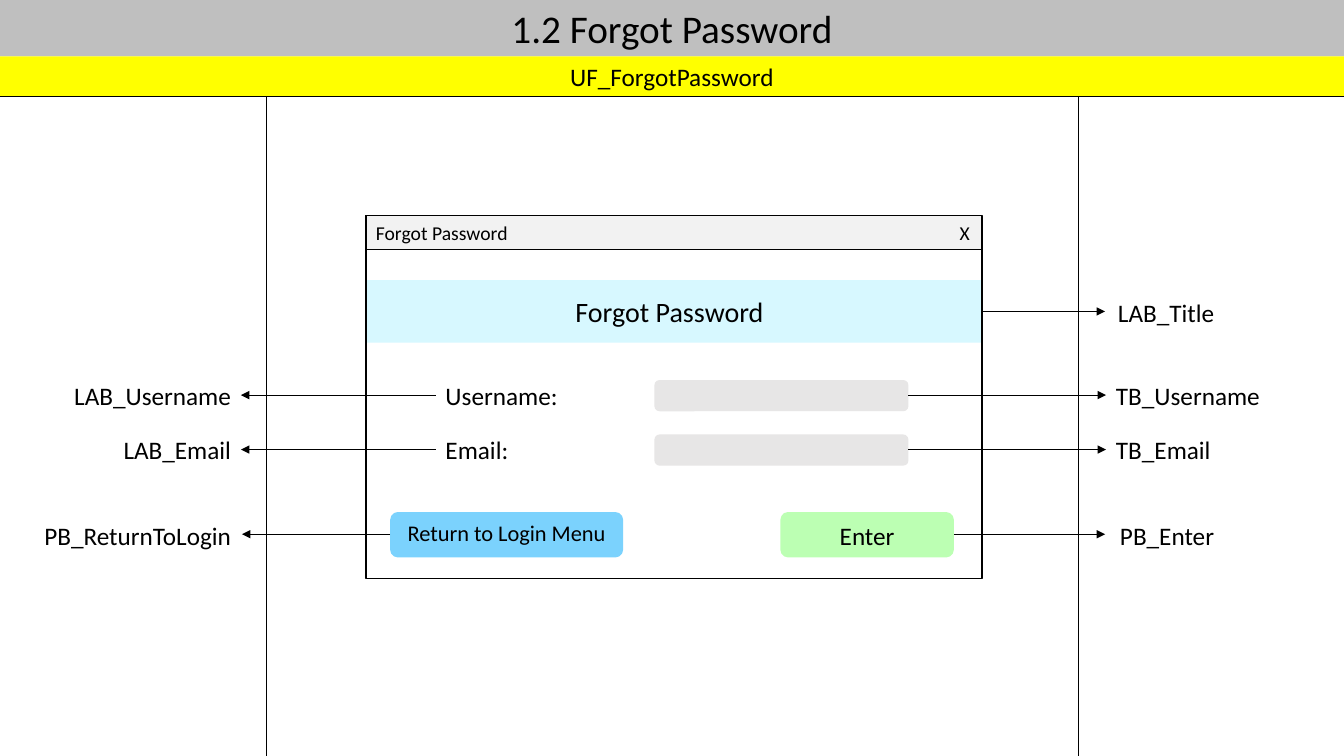
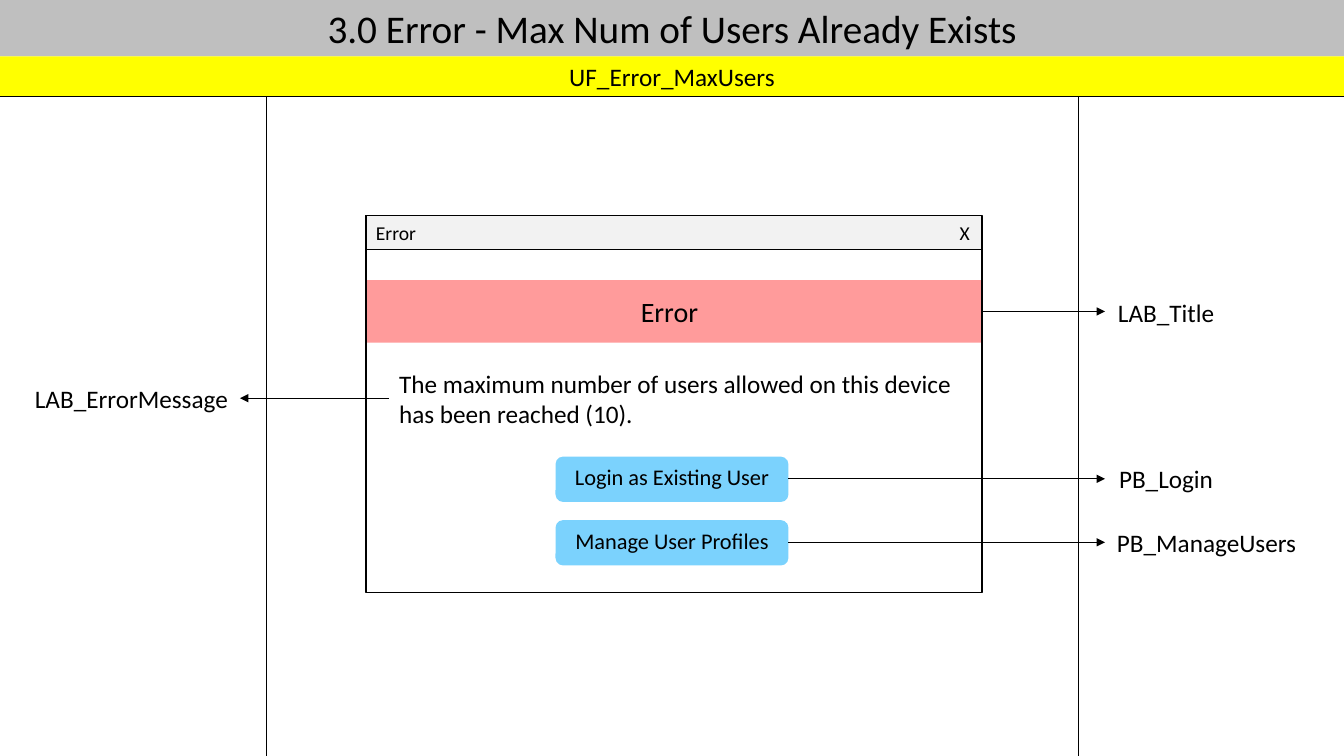
from lxml import etree
from pptx import Presentation
from pptx.dml.color import RGBColor
from pptx.enum.shapes import MSO_CONNECTOR as LINE, MSO_SHAPE as SHAPE
from pptx.enum.text import MSO_ANCHOR as ANCHOR, MSO_AUTO_SIZE as AUTO, PP_ALIGN as ALIGN
from pptx.oxml.ns import qn
from pptx.util import Inches, Pt

# Shared look
WIDTH, HEIGHT = 13.33, 7.5
FONT = "Calibri"
BLACK, GREY, YELLOW = "000000", "BFBFBF", "FFFF00"
TITLE_BAR, FIELD = "F2F2F2", "E7E6E6"
CYAN, RED, BLUE, GREEN = "D7F8FF", "FF9B9B", "7BD2FD", "BCFFB3"
WINDOW_LEFT, WINDOW_TOP, WINDOW_WIDTH = 3.63, 2.14, 6.11
LABEL_HEIGHT = 0.4


def color(hex_code):
    return RGBColor.from_string(hex_code)


def write(shape, text, size=18, align=ALIGN.LEFT, anchor=ANCHOR.TOP):
    frame = shape.text_frame
    frame.word_wrap = True
    frame.auto_size = AUTO.SHAPE_TO_FIT_TEXT
    frame.vertical_anchor = anchor
    paragraph = frame.paragraphs[0]
    paragraph.alignment = align
    run = paragraph.add_run()
    run.text = text
    run.font.name = FONT
    run.font.size = Pt(size)
    run.font.color.rgb = color(BLACK)


def label(slide, box, text, **text_format):
    write(slide.shapes.add_textbox(*map(Inches, box)), text, **text_format)


def block(slide, box, fill=None, border=None, kind=SHAPE.RECTANGLE):
    shape = slide.shapes.add_shape(kind, *map(Inches, box))
    shape.shadow.inherit = False
    if fill:
        shape.fill.solid()
        shape.fill.fore_color.rgb = color(fill)
    else:
        shape.fill.background()
    if border:
        shape.line.color.rgb = color(BLACK)
        shape.line.width = Pt(border)
    else:
        shape.line.fill.background()
    return shape


def rule(slide, start, end, arrow=False):
    line = slide.shapes.add_connector(LINE.STRAIGHT, *map(Inches, (*start, *end)))
    line.line.color.rgb = color(BLACK)
    line.line.width = Pt(0.5)
    if arrow:
        etree.SubElement(line.line._get_or_add_ln(), qn("a:tailEnd"), type="triangle")
    etree.SubElement(line._element.spPr, qn("a:effectLst"))


def page_header(slide, box, title, form_name):
    """Title band, form name band and the two column dividers."""
    left, top, width, height = box
    title_height, band_height = 0.57, 0.4
    write(block(slide, (left, top - 0.01, width, title_height), GREY), title,
          size=28, align=ALIGN.CENTER, anchor=ANCHOR.MIDDLE)
    for divider in (2.64, 10.7):
        rule(slide, (left + divider, top + title_height), (left + divider, top + height))
    band_top = top + title_height - 0.01
    write(block(slide, (left, band_top, width, band_height), YELLOW), form_name,
          align=ALIGN.CENTER, anchor=ANCHOR.MIDDLE)
    bottom = band_top + band_height
    rule(slide, (left, bottom), (left + width, bottom))


def window(slide, box, title, banner_fill):
    """Dialog frame with its title bar, close mark and banner."""
    left, top, width, height = box
    bar_height = 0.34
    write(block(slide, (left, top, width, bar_height), TITLE_BAR, 0.75), title,
          size=14, anchor=ANCHOR.MIDDLE)
    block(slide, (left, top + 0.64, width, 0.62), banner_fill)
    label(slide, (left + 0.41, top + 0.73, 5.2, 0.44), title, size=20, align=ALIGN.CENTER)
    block(slide, box, border=1)
    label(slide, (left + width - 0.32, top, 0.43, bar_height), "X", size=14)
    callout(slide, "LAB_Title", left + width, 10.96, top + 0.95, (10.99, top + 0.76, 1.26))


def button(slide, box, text, fill, inset=(0, 0.02), size=16):
    left, top, width, height = box
    dx, dy = inset
    block(slide, box, fill, kind=SHAPE.ROUNDED_RECTANGLE)
    label(slide, (left + dx, top + dy, width - 2 * dx, 0.37), text,
          size=size, align=ALIGN.CENTER)


def callout(slide, name, start, tip, y, name_box):
    """Arrow from a control to its name in the side column."""
    rule(slide, (start, y), (tip, y), arrow=True)
    align = ALIGN.RIGHT if tip < start else ALIGN.LEFT
    label(slide, (*name_box, LABEL_HEIGHT), name, align=align)


def forgot_password_form(slide, box):
    left, top, width, height = box
    window(slide, box, "Forgot Password", CYAN)

    # Input rows
    caption_left, field_left, field_width = left + 0.69, left + 2.86, 2.52
    for row, (name, name_left) in enumerate((("Username", 0.36), ("Email", 0.59))):
        row_top = top + 1.58 + row * 0.54
        middle = row_top + 0.2
        label(slide, (caption_left, row_top, 2.18, LABEL_HEIGHT), name + ":")
        block(slide, (field_left, row_top + 0.05, field_width, 0.31), FIELD,
              kind=SHAPE.ROUNDED_RECTANGLE)
        callout(slide, "TB_" + name, field_left + field_width, 10.97, middle,
                (10.97, row_top, 1.94))
        callout(slide, "LAB_" + name, caption_left, 2.39, middle,
                (name_left, row_top, 2.39 - name_left))

    # Buttons
    button_top = top + 2.94
    middle = button_top + 0.22
    return_left, enter_left, enter_width = left + 0.24, left + 4.11, 1.72
    button(slide, (return_left, button_top, 2.31, 0.45), "Return to Login Menu", BLUE)
    button(slide, (enter_left, button_top, enter_width, 0.45), "Enter", GREEN,
           inset=(0.05, 0.03), size=18)
    callout(slide, "PB_Enter", enter_left + enter_width, 10.96, middle,
            (11.01, button_top + 0.03, 1.62))
    callout(slide, "PB_ReturnToLogin", return_left, 2.4, middle,
            (0, button_top + 0.03, 2.39))


def max_users_error(slide, box):
    left, top, width, height = box
    window(slide, box, "Error", RED)

    # Message
    message_left = left + 0.23
    label(slide, (message_left, top + 1.46, width - 0.23, 0.71),
          "The maximum number of users allowed on this device has been reached (10).")
    callout(slide, "LAB_ErrorMessage", message_left, 2.38, top + 1.81,
            (0.2, top + 1.61, 2.16))

    # Buttons
    choices = (("Login as Existing User", "PB_Login", 0, 11, 1.62),
               ("Manage User Profiles", "PB_ManageUsers", 0.06, 10.98, 2.2))
    button_left, button_width = left + 1.88, 2.31
    for row, (text, name, inset, name_left, name_width) in enumerate(choices):
        button_top = top + 2.39 + row * 0.63
        button(slide, (button_left, button_top, button_width, 0.45), text, BLUE,
               inset=(inset, 0.02))
        callout(slide, name, button_left + button_width, 10.96, button_top + 0.22,
                (name_left, button_top + 0.02, name_width))


deck = Presentation()
deck.slide_width, deck.slide_height = Inches(WIDTH), Inches(HEIGHT)
PAGES = (
    ("1.2 Forgot Password", "UF_ForgotPassword", forgot_password_form, 3.6),
    ("3.0 Error - Max Num of Users Already Exists", "UF_Error_MaxUsers", max_users_error, 3.74),
)
for title, form_name, draw_form, form_height in PAGES:
    page = deck.slides.add_slide(deck.slide_layouts[6])
    page_header(page, (0, 0, WIDTH, HEIGHT), title, form_name)
    draw_form(page, (WINDOW_LEFT, WINDOW_TOP, WINDOW_WIDTH, form_height))
deck.save("out.pptx")
